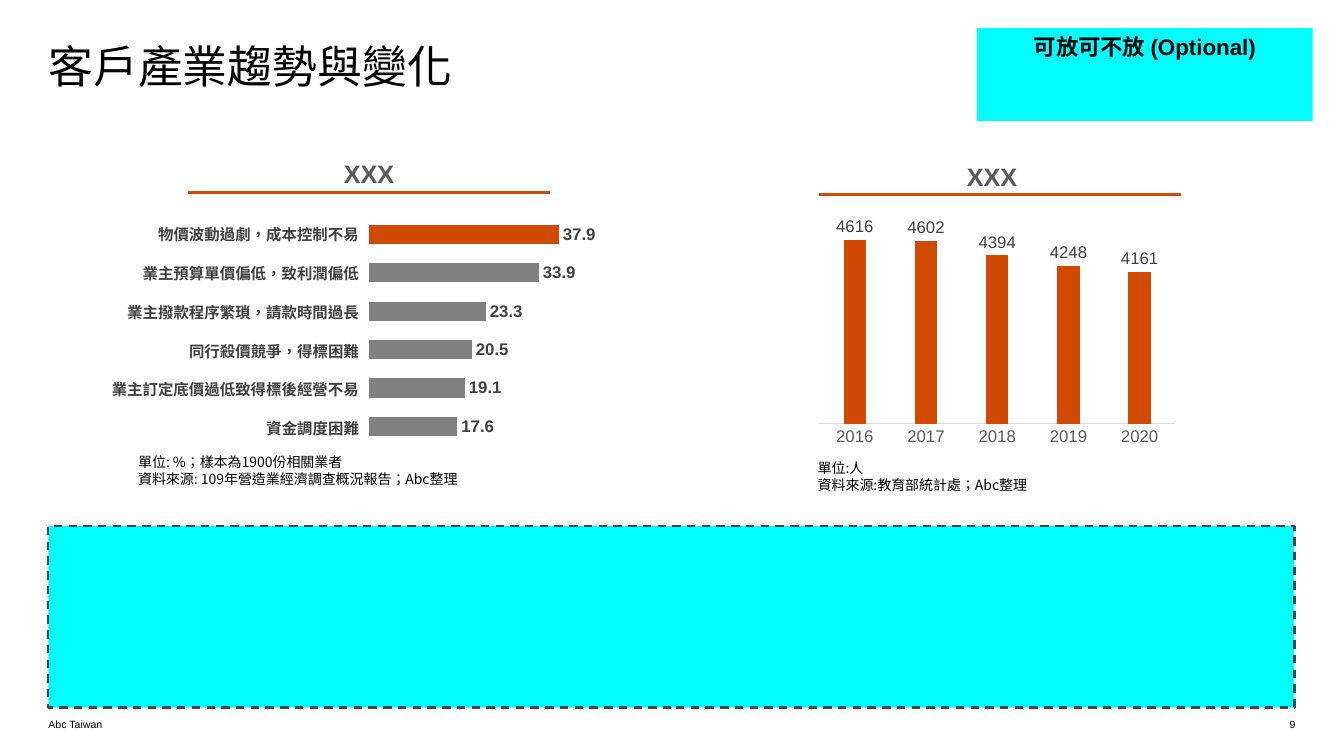
from dataclasses import dataclass

from lxml import etree
from pptx import Presentation
from pptx import util as u
from pptx.chart.data import CategoryChartData
from pptx.dml.color import RGBColor
from pptx.enum import chart as charts, dml, lang, shapes, text
from pptx.oxml import parse_xml
from pptx.oxml.ns import nsdecls, qn
from pptx.util import Inches


@dataclass(frozen=True)
class Theme:
    accent: str = "D04A02"
    muted: str = "808080"
    cyan: str = "00FFFF"
    black: str = "000000"
    heading: str = "595959"
    label: str = "404040"
    axis: str = "D9D9D9"
    border: str = "464646"
    latin: str = "Arial"
    cjk: str = "Noto Sans CJK SC"
    title_size: float = 32
    heading_size: float = 18
    badge_size: float = 16
    value_size: float = 12
    label_size: float = 11
    note_size: float = 10
    footer_size: float = 7.5


THEME = Theme()
ALIGN = text.PP_ALIGN
ANCHOR = text.MSO_ANCHOR

ISSUES = [
    ("物價波動過劇，成本控制不易", 37.9),
    ("業主預算單價偏低，致利潤偏低", 33.9),
    ("業主撥款程序繁瑣，請款時間過長", 23.3),
    ("同行殺價競爭，得標困難", 20.5),
    ("業主訂定底價過低致得標後經營不易", 19.1),
    ("資金調度困難", 17.6),
]
GRADUATES = {"2016": 4616, "2017": 4602, "2018": 4394, "2019": 4248, "2020": 4161}


def rgb(color):
    return RGBColor.from_string(color)


def set_font(font, size, color, bold=False, name=THEME.latin):
    font.size, font.bold, font.name = u.Pt(size), bold, name
    font.color.rgb = rgb(color)


def write(frame, words, size, color=THEME.black, bold=False, name=THEME.latin,
          align=ALIGN.LEFT, anchor=ANCHOR.TOP, inset=True, after=0, spacing=None):
    """Fill a text frame with one formatted paragraph; newlines become line breaks."""
    frame.word_wrap = True
    frame.auto_size = text.MSO_AUTO_SIZE.NONE
    frame.vertical_anchor = anchor
    if not inset:
        frame.margin_left = frame.margin_right = frame.margin_top = frame.margin_bottom = 0
    paragraph = frame.paragraphs[0]
    paragraph.text = words.replace("\n", "\v")
    paragraph.alignment = align
    paragraph.space_after = u.Pt(after)
    if spacing:
        paragraph.line_spacing = spacing
    for run in paragraph.runs:
        set_font(run.font, size, color, bold, name)
        run.font.language_id = lang.MSO_LANGUAGE_ID.TRADITIONAL_CHINESE
        if name == THEME.cjk:
            etree.SubElement(run._r.get_or_add_rPr(), qn("a:ea"), typeface=name)


def add_text(slide, box, words, size, **style):
    holder = slide.shapes.add_textbox(*map(Inches, box))
    write(holder.text_frame, words, size, **style)


def add_heading(slide, words, box, rule_left, rule_top, rule_width):
    add_text(slide, box, words, THEME.heading_size, color=THEME.heading, bold=True,
             align=ALIGN.CENTER, anchor=ANCHOR.MIDDLE)
    rule = slide.shapes.add_connector(
        shapes.MSO_CONNECTOR.STRAIGHT, Inches(rule_left), Inches(rule_top),
        Inches(rule_left + rule_width), Inches(rule_top))
    rule.line.color.rgb = rgb(THEME.accent)
    rule.line.width = u.Pt(1.5)
    etree.SubElement(rule._element.spPr, qn("a:effectLst"))


def add_note(slide, box, words):
    add_text(slide, box, words, THEME.note_size, name=THEME.cjk, inset=False, after=6)


def add_panel(slide, box):
    panel = slide.shapes.add_shape(shapes.MSO_SHAPE.RECTANGLE, *map(Inches, box))
    panel.shadow.inherit = False
    panel.fill.solid()
    panel.fill.fore_color.rgb = rgb(THEME.cyan)
    panel.line.fill.background()
    return panel


def set_plot_area(chart, x, y, w, h):
    """Fix the inner plot area as fractions of the chart."""
    plot_area = chart._chartSpace.chart.plotArea
    for layout in plot_area.findall(qn("c:layout")):
        plot_area.remove(layout)
    plot_area.insert(0, parse_xml(
        f'<c:layout {nsdecls("c")}><c:manualLayout><c:layoutTarget val="inner"/>'
        '<c:xMode val="edge"/><c:yMode val="edge"/>'
        f'<c:x val="{x}"/><c:y val="{y}"/><c:w val="{w}"/><c:h val="{h}"/>'
        '</c:manualLayout></c:layout>'))


def add_bars(slide, box, kind, categories, values, plot_area, low, high, gap,
             overlap=0, bold=False):
    data = CategoryChartData()
    data.categories = categories
    data.add_series("Series 1", values)
    chart = slide.shapes.add_chart(kind, *map(Inches, box), data).chart
    chart.has_title = chart.has_legend = False
    set_font(chart.font, THEME.note_size, THEME.black)
    set_plot_area(chart, *plot_area)

    scale = chart.value_axis
    scale.minimum_scale, scale.maximum_scale = low, high
    scale.has_major_gridlines = scale.visible = False

    plot = chart.plots[0]
    plot.gap_width, plot.overlap, plot.vary_by_categories = gap, overlap, False
    plot.has_data_labels = True
    labels = plot.data_labels
    labels.show_value = True
    labels.position = charts.XL_LABEL_POSITION.OUTSIDE_END
    set_font(labels.font, THEME.value_size, THEME.label, bold)
    fill = plot.series[0].format.fill
    fill.solid()
    fill.fore_color.rgb = rgb(THEME.accent)
    return chart


def add_issue_chart(slide):
    values = [value for _, value in reversed(ISSUES)]
    chart = add_bars(slide, (1.05, 1.94, 5.22, 2.68), charts.XL_CHART_TYPE.BAR_CLUSTERED,
                     [str(n + 1) for n in range(len(values))], values,
                     (0.501, 0.073, 0.38, 0.853), 0, 40, 100, bold=True)
    chart.category_axis.visible = False
    for index in range(len(values) - 1):
        fill = chart.plots[0].series[0].points[index].format.fill
        fill.solid()
        fill.fore_color.rgb = rgb(THEME.muted)
    first_top, pitch = 2.21, 0.384
    for row, (issue, _) in enumerate(ISSUES):
        add_text(slide, (0.97, first_top + row * pitch, 2.69, 0.24), issue,
                 THEME.label_size, color=THEME.label, bold=True,
                 align=ALIGN.RIGHT, anchor=ANCHOR.MIDDLE)


def add_graduate_chart(slide):
    chart = add_bars(slide, (8.12, 1.96, 3.58, 2.62), charts.XL_CHART_TYPE.COLUMN_CLUSTERED,
                     list(GRADUATES), list(GRADUATES.values()),
                     (0, 0.058, 0.988, 0.798), 2000, 5000, 219, overlap=-27)
    years = chart.category_axis
    years.major_tick_mark = years.minor_tick_mark = charts.XL_TICK_MARK.NONE
    years.format.line.color.rgb = rgb(THEME.axis)
    years.format.line.width = u.Pt(0.75)
    set_font(years.tick_labels.font, THEME.value_size, THEME.heading)


def main():
    deck = Presentation()
    deck.slide_width, deck.slide_height = Inches(13.33), Inches(7.5)
    slide = deck.slides.add_slide(deck.slide_layouts[5])

    title = slide.shapes.title
    title.left, title.top, title.width, title.height = map(Inches, (0.48, 0.47, 12.36, 1.52))
    write(title.text_frame, "客戶產業趨勢與變化", THEME.title_size, inset=False, spacing=0.85)

    add_heading(slide, "XXX", (1.85, 1.52, 3.62, 0.41), 1.86, 1.91, 3.59)
    add_issue_chart(slide)
    add_note(slide, (1.37, 4.5, 3.26, 0.34),
             "單位: %；樣本為1900份相關業者\n資料來源: 109年營造業經濟調查概況報告；Abc整理")

    add_heading(slide, "XXX", (8.03, 1.54, 3.62, 0.41), 8.12, 1.93, 3.59)
    add_graduate_chart(slide)
    add_note(slide, (8.11, 4.56, 2.68, 0.34), "單位:人\n資料來源:教育部統計處；Abc整理")

    summary = add_panel(slide, (0.48, 5.22, 12.36, 1.8))
    summary.line.color.rgb = rgb(THEME.border)
    summary.line.width = u.Pt(1.5)
    summary.line.dash_style = dml.MSO_LINE.DASH
    badge = add_panel(slide, (9.69, 0.28, 3.33, 0.92))
    write(badge.text_frame, "可放可不放 (Optional)", THEME.badge_size, bold=True,
          align=ALIGN.CENTER)

    footer = {"size": THEME.footer_size, "anchor": ANCHOR.BOTTOM, "inset": False}
    add_text(slide, (0.48, 7.1, 5.99, 0.15), "Abc Taiwan", **footer)
    add_text(slide, (10.92, 7.1, 1.93, 0.15), "9", align=ALIGN.RIGHT, **footer)
    deck.save("out.pptx")


if __name__ == "__main__":
    main()
